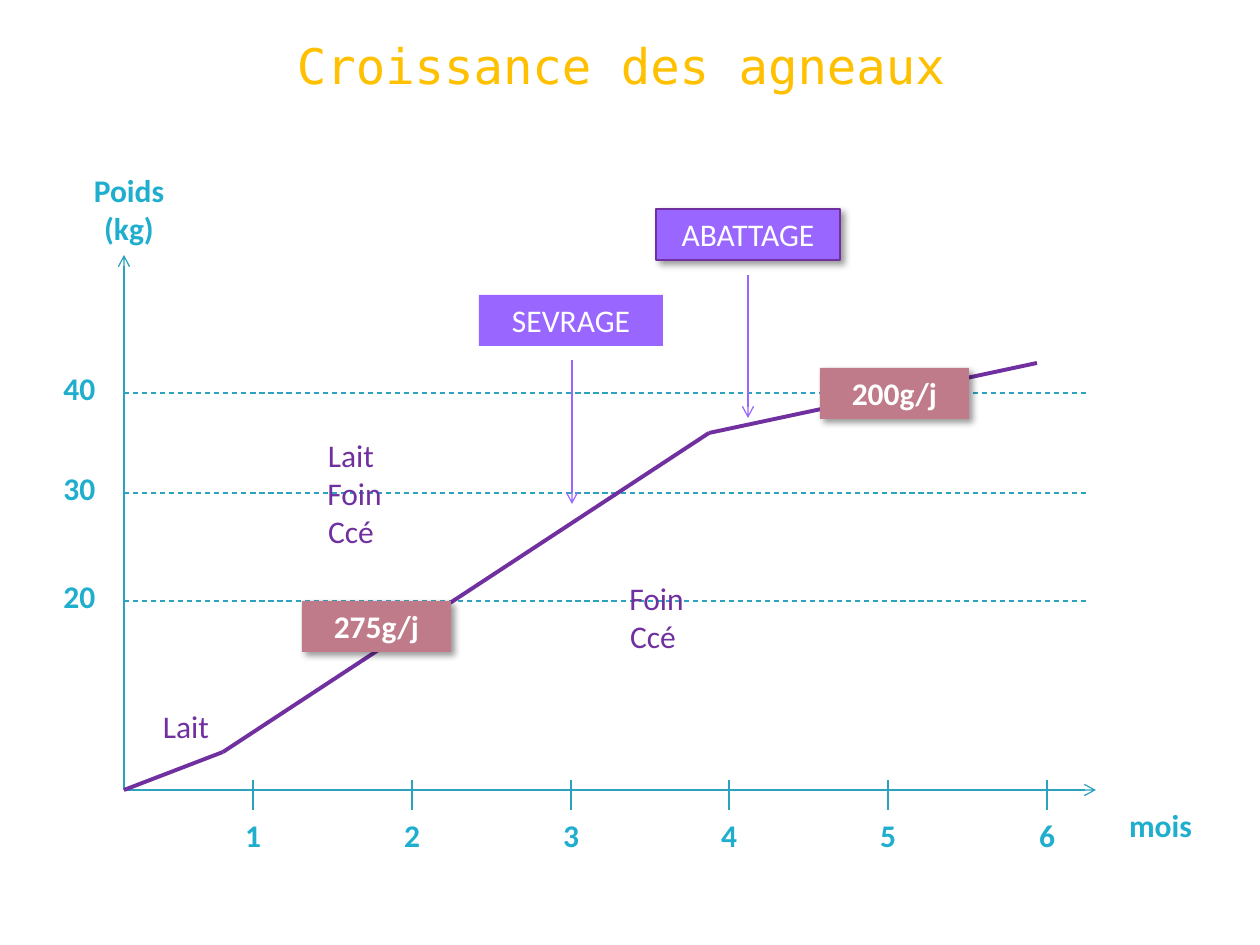
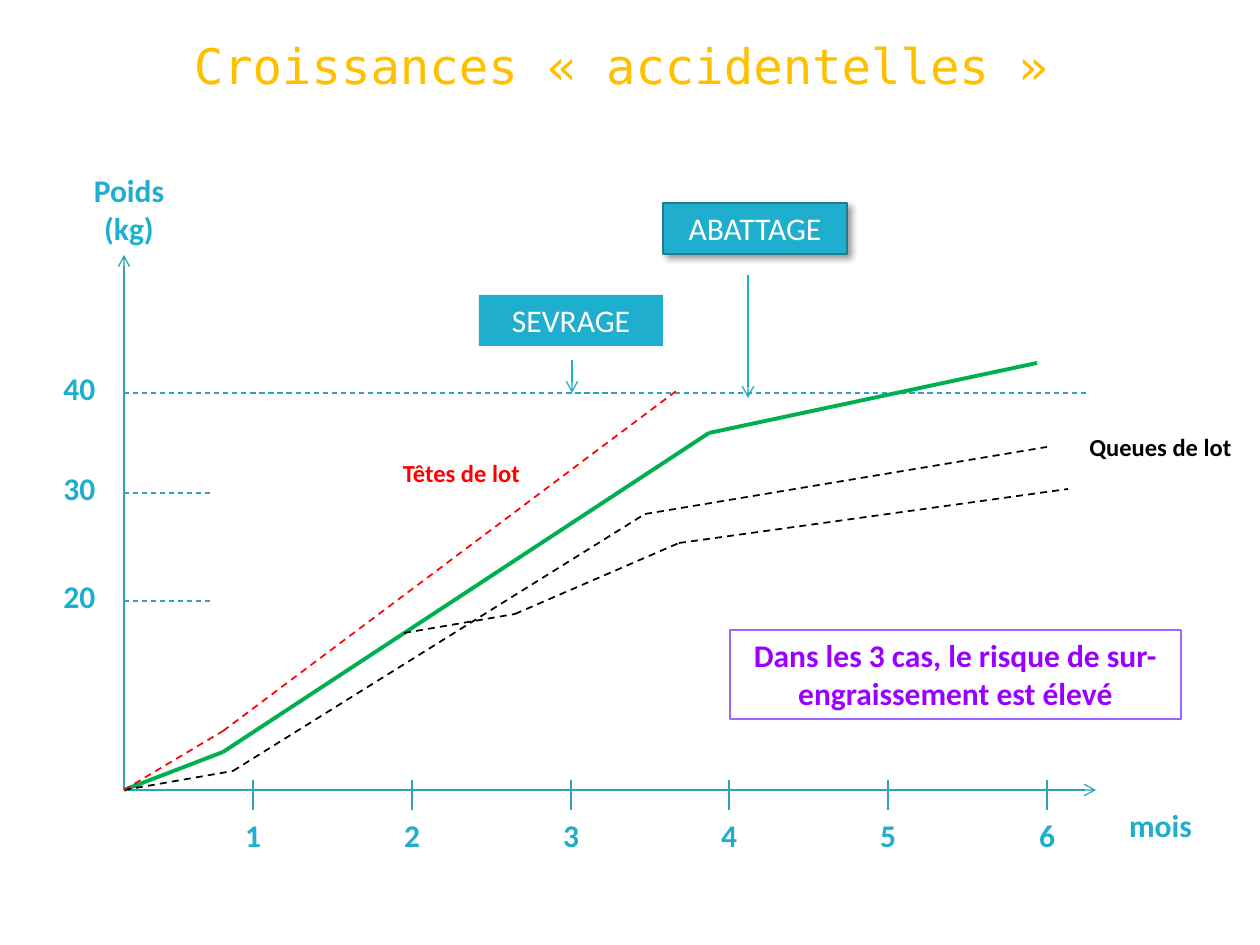
from lxml import etree
from pptx import Presentation
from pptx import util as u
from pptx.dml.color import RGBColor
from pptx.enum import dml, shapes, text
from pptx.oxml import ns

PX = 7257.14  # EMU in one px, 126 px to the inch
AXIS, CYAN, PURPLE, VIOLET = "2DA2BF", "1FAECD", "7030A0", "9966FF"
ROSE, GREEN, RED, BLACK, WHITE, GOLD = "C07B8A", "00B050", "FF0000", "000000", "FFFFFF", "FFC000"
colour = RGBColor.from_string


def add_path(slide, points, line_colour, width=0.75, dashed=False, arrow=False):
    """Join successive points with straight connectors."""
    for start, end in zip(points, points[1:]):
        ends = [u.Emu(round(value * PX)) for value in (*start, *end)]
        connector = slide.shapes.add_connector(shapes.MSO_CONNECTOR.STRAIGHT, *ends)
        connector.line.color.rgb = colour(line_colour)
        connector.line.width = u.Pt(width)
        if dashed:
            connector.line.dash_style = dml.MSO_LINE.DASH
        if arrow:
            etree.SubElement(connector.line._get_or_add_ln(), ns.qn("a:tailEnd"), type="arrow")
        etree.SubElement(connector._element.spPr, ns.qn("a:effectLst"))


def add_label(slide, box, lines, font_colour, size=18, bold=True,
              fill=None, outline=None, shadow=False):
    """Add centred text, in a rectangle if it has a fill or an outline."""
    place = [u.Emu(round(value * PX)) for value in box]
    if fill or outline:
        shape = slide.shapes.add_shape(shapes.MSO_SHAPE.RECTANGLE, *place)
        shape.shadow.inherit = False
        if fill:
            shape.fill.solid()
            shape.fill.fore_color.rgb = colour(fill)
        else:
            shape.fill.background()
        if outline:
            shape.line.color.rgb = colour(outline)
            shape.line.width = u.Pt(0.75)
        else:
            shape.line.fill.background()
    else:
        shape = slide.shapes.add_textbox(*place)
    if shadow:
        effects = shape._element.spPr.find(ns.qn("a:effectLst"))
        outer = etree.SubElement(effects, ns.qn("a:outerShdw"), blurRad="50800",
                                 dist="38100", dir="2700000", algn="tl", rotWithShape="0")
        tint = etree.SubElement(outer, ns.qn("a:srgbClr"), val=BLACK)
        etree.SubElement(tint, ns.qn("a:alpha"), val="40000")
    frame = shape.text_frame
    frame.word_wrap = True
    frame.auto_size = text.MSO_AUTO_SIZE.SHAPE_TO_FIT_TEXT
    frame.vertical_anchor = text.MSO_ANCHOR.TOP
    for index, line in enumerate(lines):
        paragraph = frame.add_paragraph() if index else frame.paragraphs[0]
        paragraph.alignment = text.PP_ALIGN.CENTER
        run = paragraph.add_run()
        run.text = line
        run.font.name = "Calibri"
        run.font.size = u.Pt(size)
        run.font.bold = bold
        run.font.color.rgb = colour(font_colour)


presentation = Presentation()
presentation.slide_width = u.Inches(10)
presentation.slide_height = u.Inches(7.5)

# What the two slides share: axes, growth curve and the two events
origin = (124, 790)
growth = [origin, (223, 752), (709, 433), (1037, 363)]
weights = {20: 601, 30: 493, 40: 393}
charts = [
    dict(title="Croissance des agneaux", guide_end=1086, curve=PURPLE, accent=VIOLET,
         outline=PURPLE, slaughter=(656, 209), slaughter_tip=418, weaning_tip=504),
    dict(title="Croissances « accidentelles »", guide_end=213, curve=GREEN, accent=CYAN,
         outline="227A8F", slaughter=(663, 203), slaughter_tip=398, weaning_tip=393),
]
slides = []
for chart in charts:
    slide = presentation.slides.add_slide(presentation.slide_layouts[5])
    slides.append(slide)

    # Title
    title = slide.shapes.title
    title.left, title.top, title.width, title.height = [
        u.Emu(round(value * PX)) for value in (54, 16, 1134, 97)]
    title.text_frame.vertical_anchor = text.MSO_ANCHOR.MIDDLE
    paragraph = title.text_frame.paragraphs[0]
    paragraph.alignment = text.PP_ALIGN.CENTER
    run = paragraph.add_run()
    run.text = chart["title"]
    run.font.name = "DejaVu Sans Mono"
    run.font.size = u.Pt(28)
    run.font.color.rgb = colour(GOLD)

    # Axes
    add_path(slide, [origin, (124, 255)], AXIS, arrow=True)
    add_path(slide, [origin, (1096, 790)], AXIS, arrow=True)
    add_label(slide, (74, 165, 110, 89), ["Poids (kg)"], CYAN)
    add_label(slide, (1096, 800, 129, 50), ["mois"], CYAN)

    # Months
    for month in range(1, 7):
        x = round(253 + 158.8 * (month - 1))
        add_path(slide, [(x, 780), (x, 810)], AXIS)
        add_label(slide, (x - 79, 810, 158, 50), [str(month)], CYAN)

    # Weights; the 40 kg guide always spans the chart
    for weight, y in weights.items():
        guide_end = 1086 if weight == 40 else chart["guide_end"]
        add_path(slide, [(124, y), (guide_end, y)], AXIS, dashed=True)
        add_label(slide, (35, y - 30, 89, 50), [str(weight)], CYAN)

    # Normal growth
    add_path(slide, growth, chart["curve"], width=2.25)

    # Weaning and slaughter
    add_path(slide, [(748, 275), (748, chart["slaughter_tip"])], chart["accent"], arrow=True)
    add_label(slide, (*chart["slaughter"], 184, 51), ["ABATTAGE"], WHITE, bold=False,
              fill=chart["accent"], outline=chart["outline"], shadow=True)
    add_path(slide, [(572, 360), (572, chart["weaning_tip"])], chart["accent"], arrow=True)
    add_label(slide, (479, 295, 184, 51), ["SEVRAGE"], WHITE, bold=False, fill=chart["accent"])

normal, accidental = slides

# Slide 1: daily gains and feed
for box, gain in [((302, 601, 149, 51), "275g/j"), ((820, 368, 149, 51), "200g/j")]:
    add_label(normal, box, [gain], WHITE, fill=ROSE, shadow=True)
for box, feed in [((270, 430, 169, 127), ["Lait ", "Foin", "Ccé "]),
                  ((105, 701, 169, 50), ["Lait "]),
                  ((572, 573, 169, 89), ["Foin", "Ccé "])]:
    add_label(normal, box, feed, PURPLE, bold=False)

# Slide 2: the three accidental growth curves
for points, line_colour in [
    ([origin, (233, 771), (645, 514), (1047, 447)], BLACK),
    ([(404, 633), (515, 614), (679, 543), (1068, 489)], BLACK),
    ([origin, (223, 731), (679, 389)], RED),
]:
    add_path(accidental, points, line_colour, width=1, dashed=True)
add_label(accidental, (1066, 426, 189, 43), ["Queues de lot"], BLACK, size=14)
add_label(accidental, (367, 452, 189, 43), ["Têtes de lot"], RED, size=14)
add_label(accidental, (730, 630, 451, 89),
          ["Dans les 3 cas, le risque de sur-engraissement est élevé"], "9900FF", outline=VIOLET)

presentation.save("out.pptx")
